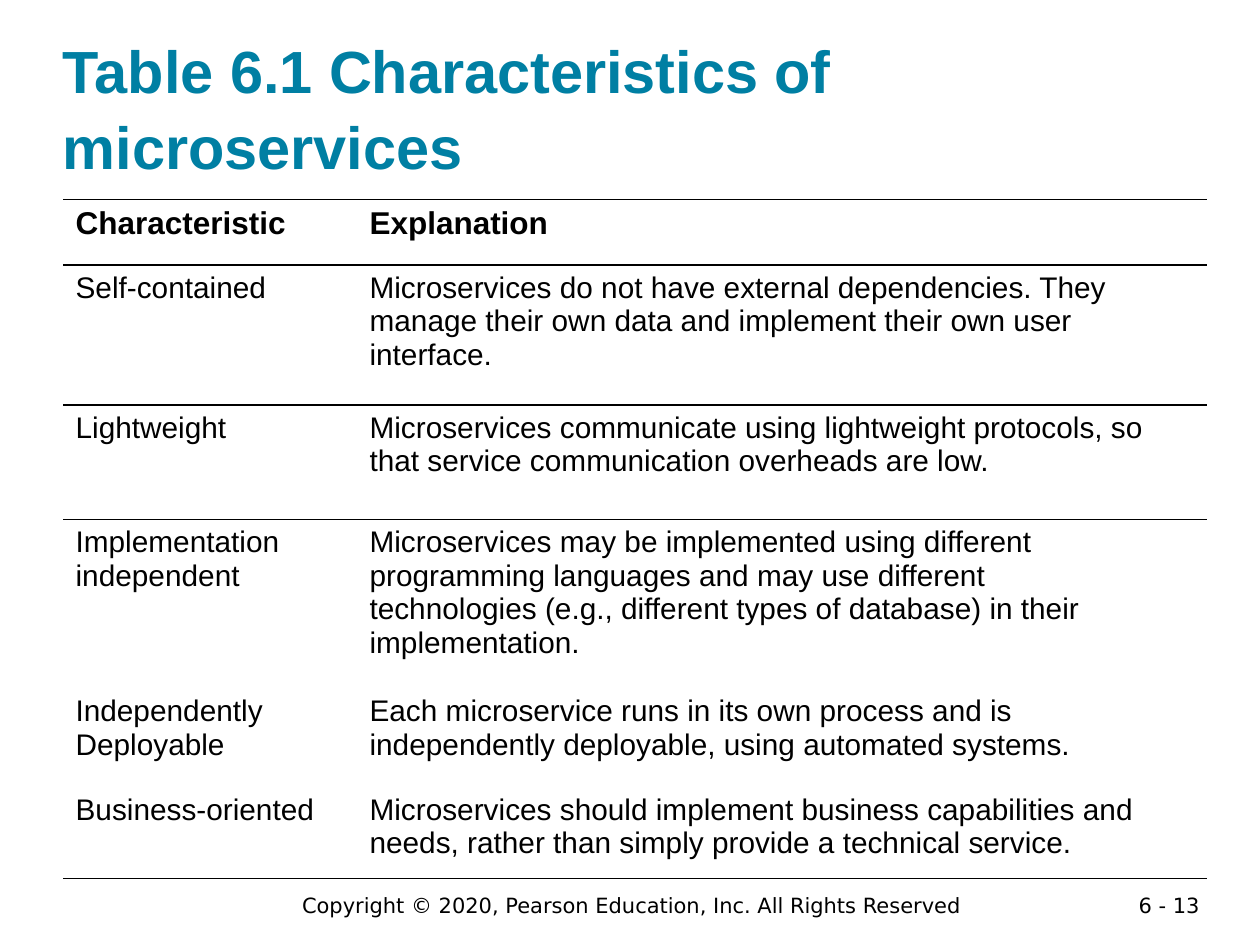
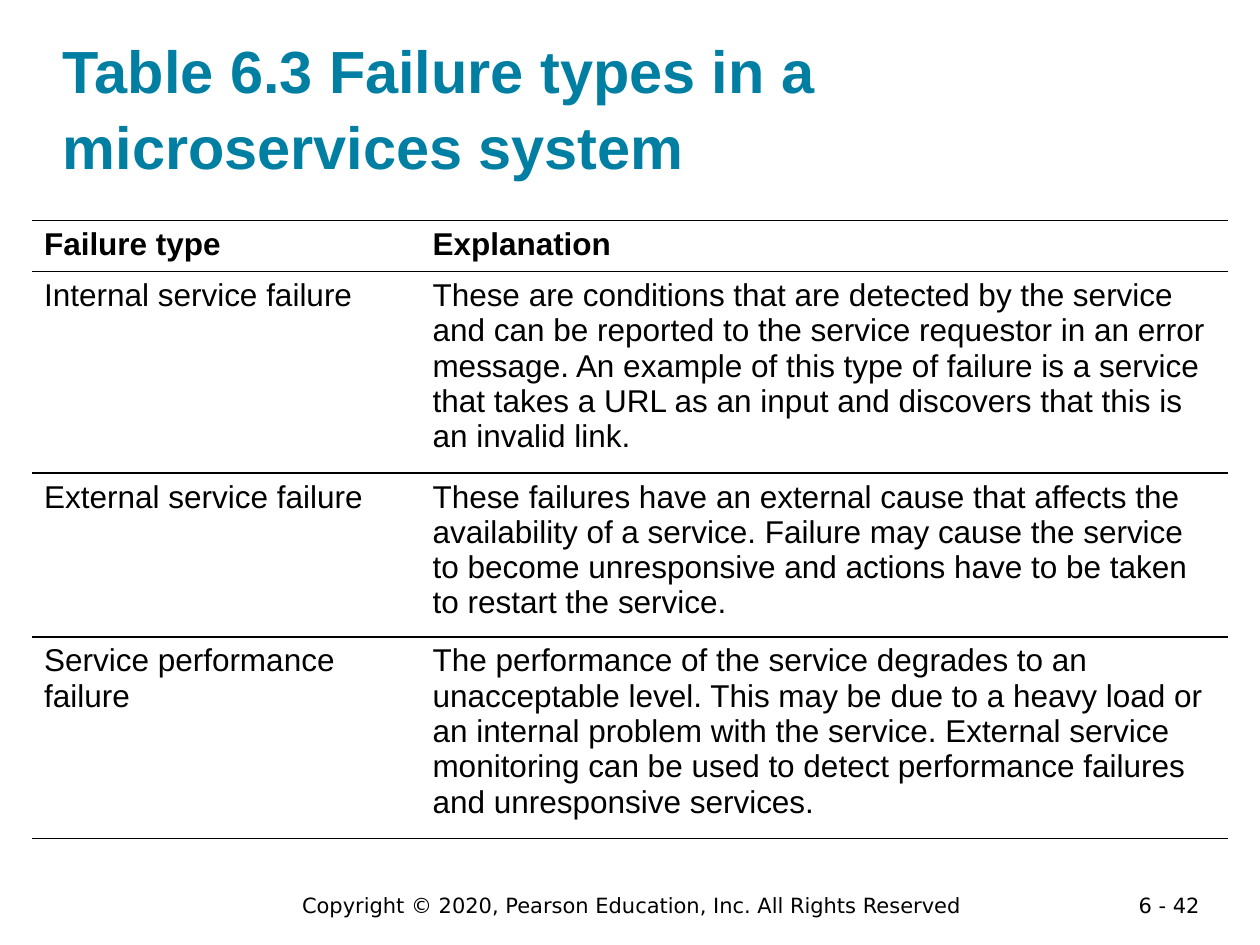
from lxml.etree import SubElement
from pptx import Presentation
from pptx.dml.color import RGBColor
from pptx.enum.text import MSO_ANCHOR, PP_ALIGN
from pptx.oxml.ns import qn
from pptx.util import Pt

# Content: "\n" starts a new paragraph within a cell
COPYRIGHT = "Copyright © 2020, Pearson Education, Inc. All Rights Reserved"

SLIDES = [
    {
        "title": "Table 6.1 Characteristics of microservices",
        "number": "6 - 13",
        "origin": (36, 114),
        "columns": (168, 486),
        "heights": (37.4, 80, 65.5, 96.5, 56.2, 52.6),
        "body_size": 17,
        "rows": [
            ("Characteristic", "Explanation"),
            ("Self-contained",
             "Microservices do not have external dependencies. They manage "
             "their own data and implement their own user interface."),
            ("Lightweight",
             "Microservices communicate using lightweight protocols, so that "
             "service communication overheads are low."),
            ("Implementation\nindependent",
             "Microservices may be implemented using different\n"
             "programming languages and may use different\n"
             "technologies (e.g., different types of database) in their\n"
             "implementation."),
            ("Independently\nDeployable",
             "Each microservice runs in its own process and is\n"
             "independently deployable, using automated systems."),
            ("Business-oriented",
             "Microservices should implement business capabilities and needs, "
             "rather than simply provide a technical service."),
        ],
    },
    {
        "title": "Table 6.3 Failure types in a microservices system",
        "number": "6 - 42",
        "origin": (18, 126),
        "columns": (222, 462),
        "heights": (29.2, 108, 88, 108),
        "body_size": 18,
        "rows": [
            ("Failure type", "Explanation"),
            ("Internal service failure",
             "These are conditions that are detected by the service\n"
             "and can be reported to the service requestor in an error\n"
             "message. An example of this type of failure is a service\n"
             "that takes a URL as an input and discovers that this is\n"
             "an invalid link."),
            ("External service failure",
             "These failures have an external cause that affects the\n"
             "availability of a service. Failure may cause the service to "
             "become unresponsive and actions have to be taken to restart "
             "the service."),
            ("Service performance failure",
             "The performance of the service degrades to an\n"
             "unacceptable level. This may be due to a heavy load or\n"
             "an internal problem with the service. External service\n"
             "monitoring can be used to detect performance failures\n"
             "and unresponsive services."),
        ],
    },
]

# Shared style
COLORS = {"title": "007FA3", "text": "000000", "rule": "000000"}
FONT, FOOTER_FONT = "Arial", "DejaVu Sans"
HEADER_SIZE = 18
RULED_ROWS = 3  # the first rows carry a rule above them
PLAIN_TABLE = "{2D5ABB26-0587-4C30-8999-92F81FD0307C}"


def set_font(p, name, size, color, bold=False):
    p.font.name, p.font.size, p.font.bold = name, Pt(size), bold
    p.font.color.rgb = RGBColor.from_string(COLORS[color])


def add_text(slide, box, text, align=PP_ALIGN.LEFT):
    tf = slide.shapes.add_textbox(*map(Pt, box)).text_frame
    tf.word_wrap = True
    tf.text = text
    tf.paragraphs[0].alignment = align
    return tf


def add_title(slide, text):
    tf = add_text(slide, (36, 17.3, 648, 86.4), text)
    tf.margin_left = tf.margin_right = tf.margin_top = tf.margin_bottom = 0
    tf.vertical_anchor = MSO_ANCHOR.BOTTOM
    p = tf.paragraphs[0]
    p.line_spacing = 1.07
    set_font(p, FONT, 34, "title", bold=True)


def add_footer(slide, number):
    for box, text, align in (
        ((620.6, 506.2, 72, 16), number, PP_ALIGN.RIGHT),
        ((118, 506.2, 486, 21.6), COPYRIGHT, PP_ALIGN.CENTER),
    ):
        tf = add_text(slide, box, text, align)
        set_font(tf.paragraphs[0], FOOTER_FONT, 12, "text")


def add_rule(cell, side):
    ln = SubElement(cell._tc.get_or_add_tcPr(), qn(f"a:{side}"), w=str(Pt(1)))
    fill = SubElement(ln, qn("a:solidFill"))
    SubElement(fill, qn("a:srgbClr"), val=COLORS["rule"])


def add_ruled_table(slide, spec):
    rows, columns, heights = spec["rows"], spec["columns"], spec["heights"]
    frame = slide.shapes.add_table(
        len(rows), len(columns), *map(Pt, spec["origin"]),
        Pt(sum(columns)), Pt(sum(heights)))
    table = frame.table
    table.first_row = table.horz_banding = False
    table._tbl.tblPr.find(qn("a:tableStyleId")).text = PLAIN_TABLE
    for column, width in zip(table.columns, columns):
        column.width = Pt(width)
    for row, height in zip(table.rows, heights):
        row.height = Pt(height)

    last = len(rows) - 1
    for i, texts in enumerate(rows):
        # Rules above the first rows, between them, and below the last row
        sides = [side for side, drawn in (
            ("lnT", i < RULED_ROWS),
            ("lnB", i < RULED_ROWS - 1 or i == last)) if drawn]
        size = spec["body_size"] if i else HEADER_SIZE
        for j, text in enumerate(texts):
            cell = table.cell(i, j)
            cell.text = text
            for side in sides:
                add_rule(cell, side)
            cell.fill.background()
            for p in cell.text_frame.paragraphs:
                set_font(p, FONT, size, "text", bold=i == 0)


def main():
    prs = Presentation()
    prs.slide_width, prs.slide_height = Pt(720), Pt(540)
    for spec in SLIDES:
        slide = prs.slides.add_slide(prs.slide_layouts[6])
        add_footer(slide, spec["number"])
        add_ruled_table(slide, spec)
        add_title(slide, spec["title"])
    prs.save("out.pptx")


if __name__ == "__main__":
    main()
